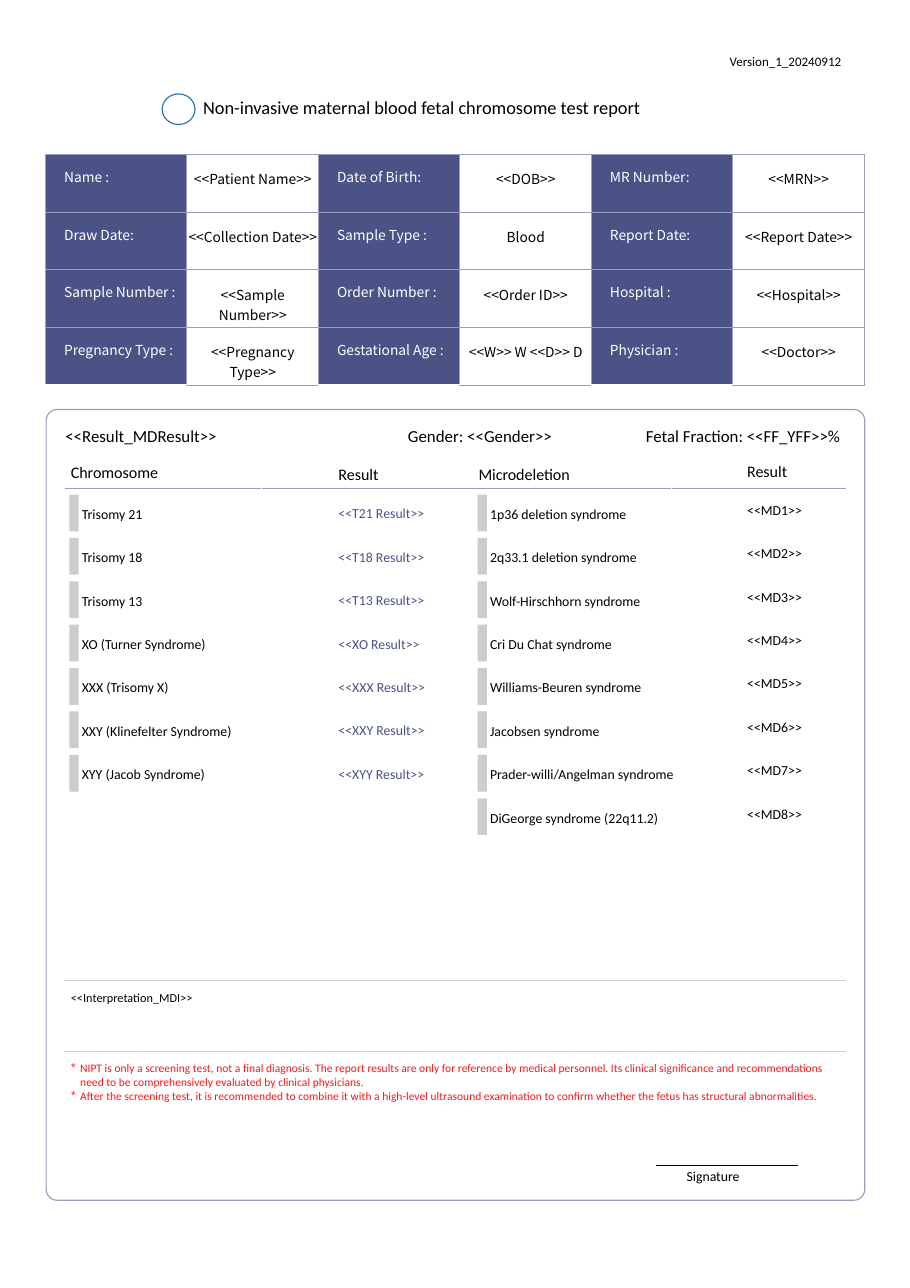
import pptx
import pptx.dml.color
import pptx.enum.shapes
import pptx.enum.text
import pptx.oxml
import pptx.oxml.ns
import pptx.util

Pt = pptx.util.Pt
RGBColor = pptx.dml.color.RGBColor
TOP = pptx.enum.text.MSO_ANCHOR.TOP
LEFT = pptx.enum.text.PP_ALIGN.LEFT
CENTER = pptx.enum.text.PP_ALIGN.CENTER
SHAPES = pptx.enum.shapes.MSO_SHAPE
NS = pptx.oxml.ns.nsdecls("a")

BLACK = RGBColor(0x00, 0x00, 0x00)
WHITE = RGBColor(0xFF, 0xFF, 0xFF)
INDIGO = RGBColor(0x4B, 0x52, 0x85)
LAVENDER = RGBColor(0x99, 0x9D, 0xC0)
BLUE = RGBColor(0x2C, 0x6B, 0xAA)
MARKER_GREY = RGBColor(0xCC, 0xCC, 0xCC)
RULE_GREY = RGBColor(0xCE, 0xCE, 0xCE)
RED = RGBColor(0xFF, 0x13, 0x17)

report = pptx.Presentation()
report.slide_width, report.slide_height = Pt(594.72), Pt(841.68)
page = report.slides.add_slide(report.slide_layouts[1])


def write(box, lines, size, color, inset_left=0.9, inset_top=1.2):
    frame = box.text_frame
    frame.word_wrap = True
    frame.auto_size = pptx.enum.text.MSO_AUTO_SIZE.NONE
    frame.vertical_anchor = TOP
    frame.margin_left, frame.margin_top = Pt(inset_left), Pt(inset_top)
    frame.margin_right = frame.margin_bottom = 0
    for index, line in enumerate(lines):
        paragraph = frame.add_paragraph() if index else frame.paragraphs[0]
        paragraph.alignment = LEFT
        run = paragraph.add_run()
        run.text = line
        run.font.name, run.font.size = "Calibri", Pt(size)
        run.font.color.rgb = color


def rule(start, end, y, color):
    line = page.shapes.add_connector(
        pptx.enum.shapes.MSO_CONNECTOR.STRAIGHT, Pt(start), Pt(y), Pt(end), Pt(y))
    line.line.color.rgb, line.line.width = color, Pt(0.75)
    line._element.spPr.append(pptx.oxml.parse_xml(f"<a:effectLst {NS}/>"))


# Title and the emblem beside it
title = page.shapes.title
title.left, title.top, title.width, title.height = Pt(131.8), Pt(61.9), Pt(389.5), Pt(16)
write(title, ["Non-invasive maternal blood fetal chromosome test report"], 12, BLACK)

emblem = page.shapes.add_shape(SHAPES.OVAL, Pt(106), Pt(61.4), Pt(21.5), Pt(20))
panel = page.shapes.add_shape(SHAPES.ROUNDED_RECTANGLE, Pt(30.2), Pt(267.6), Pt(535), Pt(516.8))
panel.adjustments[0] = 0.014
for outline, color in ((emblem, BLUE), (panel, LAVENDER)):
    outline.shadow.inherit = False
    outline.fill.background()
    outline.line.color.rgb, outline.line.width = color, Pt(0.75)

# Patient details
details = [
    ["Name :", "<<Patient Name>>", "Date of Birth:", "<<DOB>>", "MR Number:", "<<MRN>>"],
    ["Draw Date:", "<<Collection Date>>", "Sample Type :", "Blood",
     "Report Date:", "<<Report Date>>"],
    ["Sample Number :", "<<Sample Number>>", "Order Number :", "<<Order ID>>",
     "Hospital :", "<<Hospital>>"],
    ["Pregnancy Type :", "<<Pregnancy Type>>", "Gestational Age :", "<<W>> W <<D>> D",
     "Physician :", "<<Doctor>>"],
]
patient = page.shapes.add_table(4, 6, Pt(30), Pt(101), Pt(535.2), Pt(150.8)).table
patient.first_row = patient.horz_banding = False
for index, column in enumerate(patient.columns):
    column.width = Pt(86.4 if index % 2 else 92)
for row_index, entries in enumerate(details):
    patient.rows[row_index].height = Pt(37.7)
    for column_index, entry in enumerate(entries):
        is_label = column_index % 2 == 0
        cell = patient.cell(row_index, column_index)
        cell.margin_left = Pt(11.9 if is_label else 0)
        cell.margin_top = Pt(7.9 if is_label else 9.4)
        cell.margin_right = cell.margin_bottom = 0
        cell.vertical_anchor = TOP
        paragraph = cell.text_frame.paragraphs[0]
        paragraph.alignment = LEFT if is_label else CENTER
        run = paragraph.add_run()
        run.text = entry
        run.font.name, run.font.size = "Noto Sans CJK SC", Pt(9)
        run.font.color.rgb = WHITE if is_label else BLACK
        for side in "LRT" if is_label and row_index == 3 else "LRTB":
            cell._tc.get_or_add_tcPr().append(pptx.oxml.parse_xml(
                f'<a:ln{side} {NS} w="9525"><a:solidFill><a:srgbClr val="{LAVENDER}"/>'
                f"</a:solidFill></a:ln{side}>"))
        if is_label:
            cell.fill.solid()
            cell.fill.fore_color.rgb = INDIGO
        else:
            cell.fill.background()

# Single lines: left, top, width, size, text
labels = [
    (475.9, 33.8, 100, 8.5, "Version_1_20240912"),
    (41.8, 277.2, 159, 11, "<<Result_MDResult>>"),
    (265.7, 277.2, 129, 11, "Gender: <<Gender>>"),
    (421.2, 277.2, 154, 11, "Fetal Fraction: <<FF_YFF>>%"),
    (45.4, 301, 84, 10.5, "Chromosome"),
    (220.3, 302, 48, 10.5, "Result"),
    (311.8, 302, 84, 10.5, "Microdeletion"),
    (487.4, 300.2, 48, 10.5, "Result"),
    (45.4, 646, 503, 8, "<<Interpretation_MDI>>"),
    (447.8, 761.6, 51, 9, "Signature"),
]
for left, top, width, size, text in labels:
    box = page.shapes.add_textbox(Pt(left), Pt(top), Pt(width), Pt(size * 1.4))
    write(box, [text], size, BLACK)

# Rules
for start, end, y, color in (
        (42.2, 170.8, 319, LAVENDER), (171.4, 438.6, 319, LAVENDER),
        (439.2, 552.6, 319, LAVENDER), (42, 552.6, 640.6, RULE_GREY),
        (42, 552.6, 687, RULE_GREY), (428.4, 521.3, 761.6, BLACK)):
    rule(start, end, y, color)

# Findings: each column of tests with its results
chromosomes = [
    ("Trisomy 21", "<<T21 Result>>"),
    ("Trisomy 18", "<<T18 Result>>"),
    ("Trisomy 13", "<<T13 Result>>"),
    ("XO (Turner Syndrome)", "<<XO Result>>"),
    ("XXX (Trisomy X)", "<<XXX Result>>"),
    ("XXY (Klinefelter Syndrome)", "<<XXY Result>>"),
    ("XYY (Jacob Syndrome)", "<<XYY Result>>"),
]
microdeletions = [
    (syndrome, f"<<MD{number}>>") for number, syndrome in enumerate((
        "1p36 deletion syndrome", "2q33.1 deletion syndrome", "Wolf-Hirschhorn syndrome",
        "Cri Du Chat syndrome", "Williams-Beuren syndrome", "Jacobsen syndrome",
        "Prader-willi/Angelman syndrome", "DiGeorge syndrome (22q11.2)"), 1)
]
FIRST_ROW, ROW_STEP = 323.2, 28.35
for findings, marker_left, result_left, result_drop, result_color in (
        (chromosomes, 45.4, 220.3, 6.2, INDIGO), (microdeletions, 312.2, 487.4, 3.9, BLACK)):
    for index, (test, result) in enumerate(findings):
        top = FIRST_ROW + index * ROW_STEP
        marker = page.shapes.add_shape(
            SHAPES.RECTANGLE, Pt(marker_left), Pt(top), Pt(6), Pt(24))
        marker.shadow.inherit = False
        marker.fill.solid()
        marker.fill.fore_color.rgb = MARKER_GREY
        marker.line.fill.background()
        test_box = page.shapes.add_textbox(
            Pt(marker_left + 7.2), Pt(top + 6), Pt(164), Pt(12.6))
        write(test_box, [test], 9, BLACK)
        result_box = page.shapes.add_textbox(
            Pt(result_left), Pt(top + result_drop), Pt(78.5), Pt(12.6))
        write(result_box, [result], 9, result_color, inset_top=0.7)

# Cautions
cautions = page.placeholders[1]
cautions.left, cautions.top, cautions.width, cautions.height = (
    Pt(45.4), Pt(690.5), Pt(507), Pt(31))
write(cautions, [
    "NIPT is only a screening test, not a final diagnosis. The report results are only for "
    "reference by medical personnel. Its clinical significance and recommendations need to be "
    "comprehensively evaluated by clinical physicians.",
    "After the screening test, it is recommended to combine it with a high-level ultrasound "
    "examination to confirm whether the fetus has structural abnormalities.",
], 7.5, RED, 0, 2.9)
for paragraph in cautions.text_frame.paragraphs:
    properties = paragraph._p.get_or_add_pPr()
    properties.set("marL", str(Pt(7)))
    properties.set("indent", str(-Pt(6)))
    properties.append(pptx.oxml.parse_xml(
        f'<a:buClr {NS}><a:srgbClr val="{RED}"/></a:buClr>'))
    properties.append(pptx.oxml.parse_xml(f'<a:buChar {NS} char="*"/>'))
    paragraph.space_before = Pt(0)

report.save("out.pptx")
